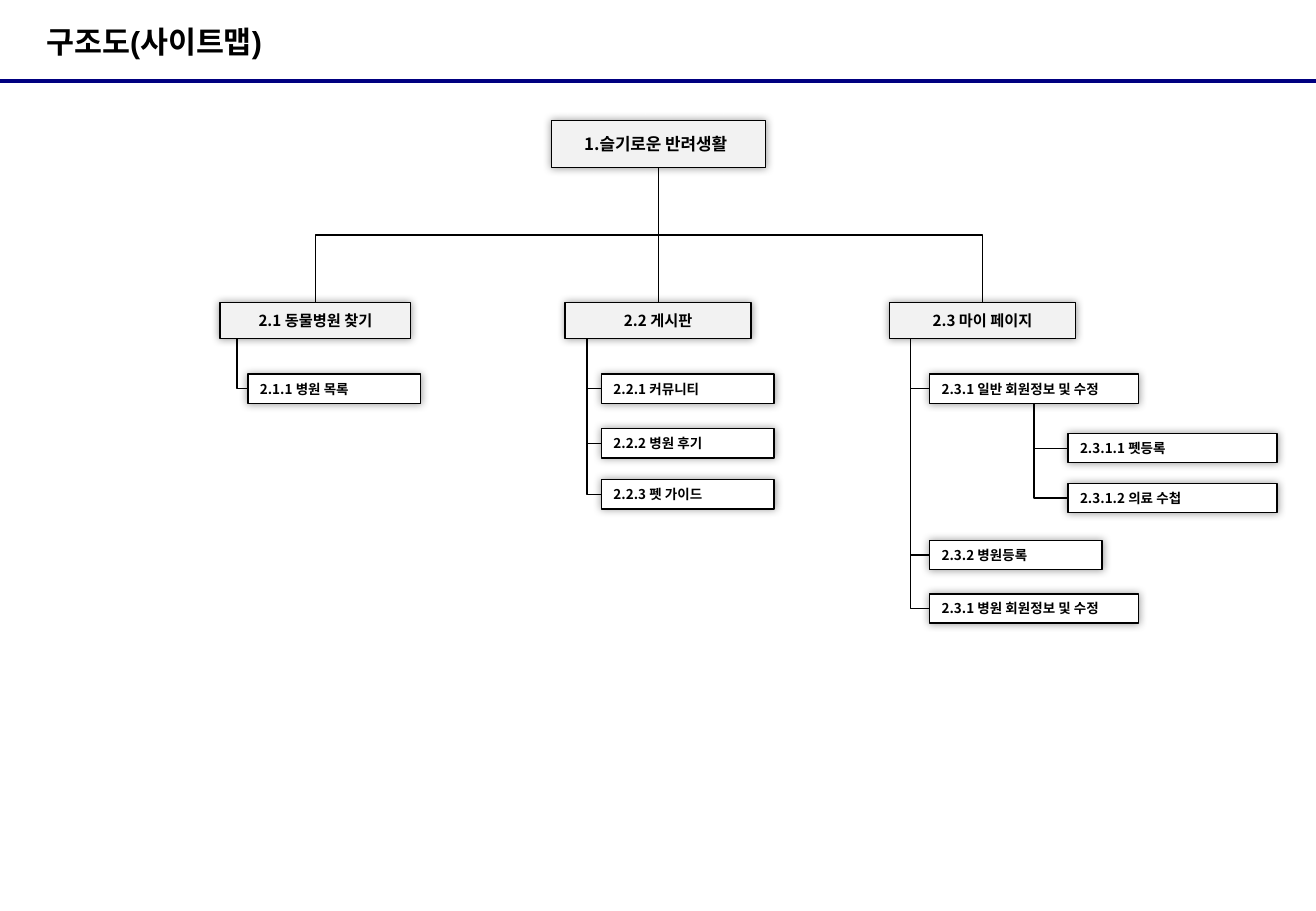
from dataclasses import dataclass

from lxml.etree import SubElement
from pptx import Presentation
from pptx.dml.color import RGBColor
from pptx.enum.shapes import MSO_CONNECTOR, MSO_SHAPE
from pptx.enum.text import MSO_ANCHOR, PP_ALIGN
from pptx.oxml.ns import qn
from pptx.util import Inches, Pt

BLACK = RGBColor(0x00, 0x00, 0x00)
WHITE = RGBColor(0xFF, 0xFF, 0xFF)
GREY = RGBColor(0xF2, 0xF2, 0xF2)
NAVY = RGBColor(0x00, 0x00, 0x80)
KOREAN = "Noto Sans CJK KR"

prs = Presentation()
prs.slide_width, prs.slide_height = Inches(10.83), Inches(7.5)
s = prs.slides.add_slide(prs.slide_layouts[6])

# Grid of 100 columns by 100 rows
COL, ROW = prs.slide_width / 100, prs.slide_height / 100


@dataclass(frozen=True)
class Level:
    height: float
    size: int
    fill: RGBColor
    align: PP_ALIGN
    left_inset: float = 0.1


@dataclass(frozen=True)
class Node:
    text: str
    x: float
    y: float
    w: float
    level: Level

    @property
    def center(self) -> float:
        return self.x + self.w / 2

    @property
    def middle(self) -> float:
        return self.y + self.level.height / 2

    @property
    def bottom(self) -> float:
        return self.y + self.level.height


@dataclass(frozen=True)
class Branch:
    parent: Node
    trunk: float
    children: list[Node]


ROOT = Level(5.2, 10, GREY, PP_ALIGN.CENTER, 0.05)
SECTION = Level(4, 9, GREY, PP_ALIGN.CENTER)
PAGE = Level(3.2, 8, WHITE, PP_ALIGN.LEFT)
NARROW, WIDE = 13.11, 15.88
SECTION_Y, PAGE_Y = 33.2, 41.07


def add_text(tf, text: str, size: int, font: str, align: PP_ALIGN) -> None:
    tf.word_wrap = True
    tf.vertical_anchor = MSO_ANCHOR.MIDDLE
    p = tf.paragraphs[0]
    p.alignment = align
    r = p.add_run()
    r.text = text
    r.font.size, r.font.bold, r.font.name = Pt(size), True, font
    r.font.color.rgb = BLACK
    SubElement(r.font._element, qn("a:ea"), typeface=KOREAN)


def add_line(x1: float, y1: float, x2: float, y2: float,
             color: RGBColor = BLACK, width: float = 0.75,
             kind: MSO_CONNECTOR = MSO_CONNECTOR.STRAIGHT):
    line = s.shapes.add_connector(kind, round(x1 * COL), round(y1 * ROW),
                                  round(x2 * COL), round(y2 * ROW))
    line.line.color.rgb, line.line.width = color, Pt(width)
    SubElement(line._element.spPr, qn("a:effectLst"))
    return line


def add_elbow(x1: float, y1: float, x2: float, y2: float, preset: str) -> None:
    """Leave the start point downwards by turning the connector a quarter."""
    line = add_line(x1, y1, x2, y2, kind=MSO_CONNECTOR.ELBOW)
    center_x, center_y = line.left + line.width // 2, line.top + line.height // 2
    line.width, line.height = line.height, line.width
    line.left, line.top = center_x - line.width // 2, center_y - line.height // 2
    xfrm = line._element.spPr.find(qn("a:xfrm"))
    rightward = x2 > x1
    xfrm.set("rot", str((270 if rightward else 90) * 60000))
    xfrm.set("flipH", "1" if rightward else "0")
    line._element.spPr.find(qn("a:prstGeom")).set("prst", preset)


def add_node(node: Node) -> None:
    level = node.level
    sp = s.shapes.add_shape(MSO_SHAPE.RECTANGLE, round(node.x * COL), round(node.y * ROW),
                            round(node.w * COL), round(level.height * ROW))
    sp.fill.solid()
    sp.fill.fore_color.rgb = level.fill
    sp.line.color.rgb, sp.line.width = BLACK, Pt(0.75)
    sp.shadow.inherit = False
    glow = SubElement(sp._element.spPr.find(qn("a:effectLst")), qn("a:outerShdw"),
                      blurRad=str(Pt(5)), dist="0", algn="ctr", rotWithShape="0")
    color = SubElement(glow, qn("a:srgbClr"), val=str(BLACK))
    SubElement(color, qn("a:alpha"), val="40000")
    sp.text_frame.margin_left = Inches(level.left_inset)
    add_text(sp.text_frame, node.text, level.size, KOREAN, level.align)


# Site map content
home = Node("1.슬기로운 반려생활", 41.92, 13.2, 16.25, ROOT)
search = Node("2.1 동물병원 찾기", 16.71, SECTION_Y, 14.5, SECTION)
board = Node("2.2 게시판", 42.94, SECTION_Y, 14.13, SECTION)
my_page = Node("2.3 마이 페이지", 67.59, SECTION_Y, 14.13, SECTION)
member = Node("2.3.1 일반 회원정보 및 수정", 70.64, PAGE_Y, WIDE, PAGE)

branches = [
    Branch(search, 18.01, [Node("2.1.1 병원 목록", 18.84, PAGE_Y, NARROW, PAGE)]),
    Branch(board, 44.6, [
        Node("2.2.1 커뮤니티", 45.71, PAGE_Y, NARROW, PAGE),
        Node("2.2.2 병원 후기", 45.71, 47.07, NARROW, PAGE),
        Node("2.2.3 펫 가이드", 45.71, 52.67, NARROW, PAGE),
    ]),
    Branch(my_page, 69.2, [
        member,
        Node("2.3.2 병원등록", 70.64, 59.33, NARROW, PAGE),
        Node("2.3.1 병원 회원정보 및 수정", 70.64, 65.2, WIDE, PAGE),
    ]),
    Branch(member, member.center, [
        Node("2.3.1.1 펫등록", 81.16, 47.6, WIDE, PAGE),
        Node("2.3.1.2 의료 수첩", 81.16, 53.07, WIDE, PAGE),
    ]),
]

# Title and rule
add_line(0, 8.93, 100, 8.93, NAVY, 2.25)
title = s.shapes.add_textbox(round(3.51 * COL), 0, round(65.37 * COL), round(9.07 * ROW))
tf = title.text_frame
tf.margin_left = tf.margin_right = tf.margin_top = tf.margin_bottom = 0
add_text(tf, "구조도(사이트맵)", 18, "Arial", PP_ALIGN.LEFT)

# Connectors
add_line(home.center, home.bottom, home.center, board.y)
for section in (search, my_page):
    add_elbow(home.center, home.bottom, section.center, section.y, "bentConnector3")
for branch in branches:
    for child in branch.children:
        add_elbow(branch.trunk, branch.parent.bottom, child.x, child.middle, "bentConnector2")

# Boxes
for node in (home, search, board, my_page):
    add_node(node)
for branch in branches:
    for child in branch.children:
        add_node(child)

prs.save("out.pptx")
